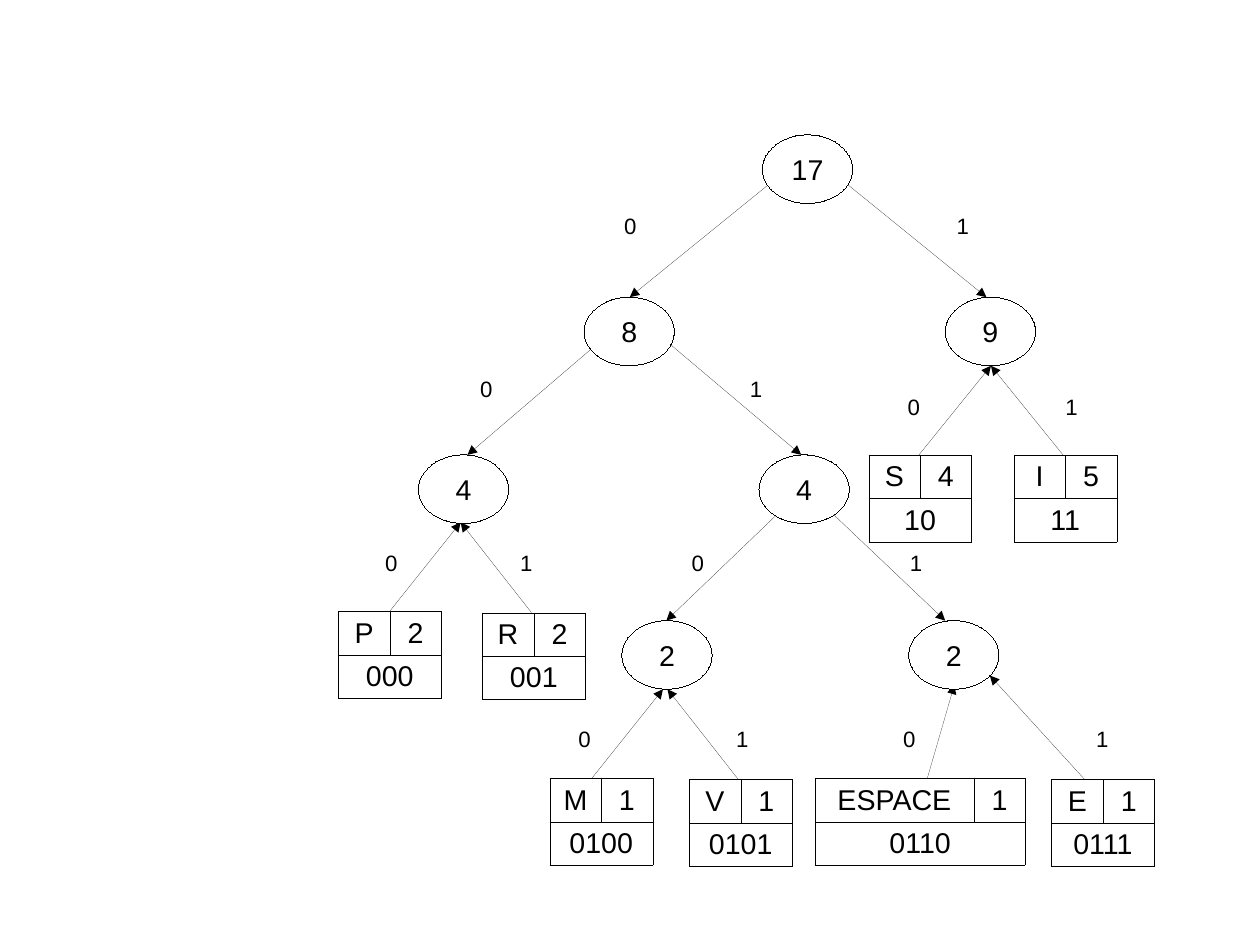
from lxml.etree import SubElement as Sub
from pptx import Presentation
from pptx.dml.color import RGBColor
from pptx.enum.shapes import MSO_CONNECTOR as Conn, MSO_SHAPE as Shape
from pptx.enum.text import MSO_ANCHOR as Anchor, MSO_AUTO_SIZE as Auto, PP_ALIGN as Align
from pptx.oxml import parse_xml
from pptx.oxml.ns import nsdecls, qn
from pptx.util import Inches, Pt

BLACK = RGBColor(0, 0, 0)
WHITE = RGBColor(255, 255, 255)

NODES = [
    ("17", 6.67, 1.18),
    ("8", 5.11, 2.6), ("9", 8.27, 2.6),
    ("4", 3.66, 3.98), ("4", 6.64, 3.98),
    ("2", 5.44, 5.43), ("2", 7.95, 5.43),
]
LEAVES = [
    ("S", "4", "10", 7.6, 3.98, 0.45), ("I", "5", "11", 8.87, 3.98, 0.45),
    ("P", "2", "000", 2.96, 5.35, 0.45), ("R", "2", "001", 4.22, 5.36, 0.45),
    ("M", "1", "0100", 4.81, 6.81, 0.45), ("V", "1", "0101", 6.03, 6.82, 0.45),
    ("ESPACE", "1", "0110", 7.13, 6.81, 1.39), ("E", "1", "0111", 9.2, 6.82, 0.45),
]
EDGES = [
    (5.51, 2.6, 6.73, 1.61), (8.63, 2.6, 7.41, 1.61),
    (4.09, 3.98, 5.2, 3.03), (7.01, 3.98, 5.79, 2.95),
    (8.67, 3.2, 8.04, 3.98), (8.67, 3.2, 9.3, 3.98),
    (4.03, 4.57, 3.4, 5.36), (4.03, 4.57, 4.65, 5.36),
    (5.83, 5.43, 6.81, 4.49), (8.27, 5.43, 7.28, 4.49),
    (5.8, 6.03, 5.17, 6.82), (5.84, 6.03, 6.46, 6.82),
    (8.35, 5.99, 8.11, 6.82),
]
LAST = (8.66, 5.91, 9.49, 6.82)
BITS = [
    (1.81, 5.2, 8.11),
    (3.23, 3.94, 6.3),
    (3.39, 7.68, 9.06),
    (4.76, 3.11, 4.29), (4.76, 5.79, 7.7),
    (6.3, 4.8, 6.18), (6.3, 7.64, 9.33),
]


def write(frame, text, size=18, align=Align.CENTER, color=BLACK, face="Arial"):
    par = frame.paragraphs[0]
    par.alignment = align
    run = par.add_run()
    run.text = text
    run.font.size = Pt(size)
    run.font.name = face
    run.font.color.rgb = color


class Tree:
    def __init__(self, slide):
        self.shapes = slide.shapes
        self.ink = BLACK
        self.fill = WHITE

    def trace(self, shape):
        root = shape._element
        root.remove(root.find(qn("p:style")))
        shape.line.color.rgb = self.ink
        shape.line.width = Pt(0)

    def edge(self, x1, y1, x2, y2):
        link = self.shapes.add_connector(Conn.STRAIGHT, *map(Inches, (x1, y1, x2, y2)))
        self.trace(link)
        props = link._element.spPr
        Sub(props.find(qn("a:ln")), qn("a:headEnd"), type="triangle")
        Sub(props, qn("a:effectLst"))

    def node(self, text, x, y):
        oval = self.shapes.add_shape(Shape.OVAL, *map(Inches, (x, y, 0.79, 0.6)))
        oval.shadow.inherit = False
        oval.fill.solid()
        oval.fill.fore_color.rgb = self.fill
        self.trace(oval)
        frame = oval.text_frame
        frame.word_wrap = False
        frame.vertical_anchor = Anchor.MIDDLE
        write(frame, text)

    def cell(self, cell, text):
        cell.fill.solid()
        cell.fill.fore_color.rgb = self.fill
        props = cell._tc.get_or_add_tcPr()
        for i, side in enumerate("LRTB"):
            props.insert(i, parse_xml(
                f'<a:ln{side} {nsdecls("a")} w="720"><a:solidFill>'
                f'<a:srgbClr val="{self.ink}"/></a:solidFill></a:ln{side}>'))
        if text:
            write(cell.text_frame, text)

    def leaf(self, sign, count, code, x, y, wide):
        box = self.shapes.add_table(2, 2, *map(Inches, (x, y, wide + 0.45, 0.76)))
        table = box.table
        table.columns[0].width = Inches(wide)
        table.columns[1].width = Inches(0.45)
        for row in table.rows:
            row.height = Inches(0.38)
        table.cell(1, 0).merge(table.cell(1, 1))
        for cell, text in zip(table.iter_cells(), (sign, count, code, "")):
            self.cell(cell, text)

    def bit(self, text, x, y):
        box = self.shapes.add_textbox(*map(Inches, (x, y, 0.63, 0.32)))
        frame = box.text_frame
        frame.word_wrap = True
        frame.auto_size = Auto.SHAPE_TO_FIT_TEXT
        write(frame, text, size=14)


def main():
    deck = Presentation()
    deck.slide_width = Inches(28 / 2.54)
    deck.slide_height = Inches(21 / 2.54)
    tree = Tree(deck.slides.add_slide(deck.slide_layouts[6]))
    for edge in EDGES:
        tree.edge(*edge)
    for leaf in LEAVES:
        tree.leaf(*leaf)
    for node in NODES:
        tree.node(*node)
    for y, left, right in BITS:
        tree.bit("0", left, y)
        tree.bit("1", right, y)
    tree.edge(*LAST)
    deck.save("out.pptx")


if __name__ == "__main__":
    main()
